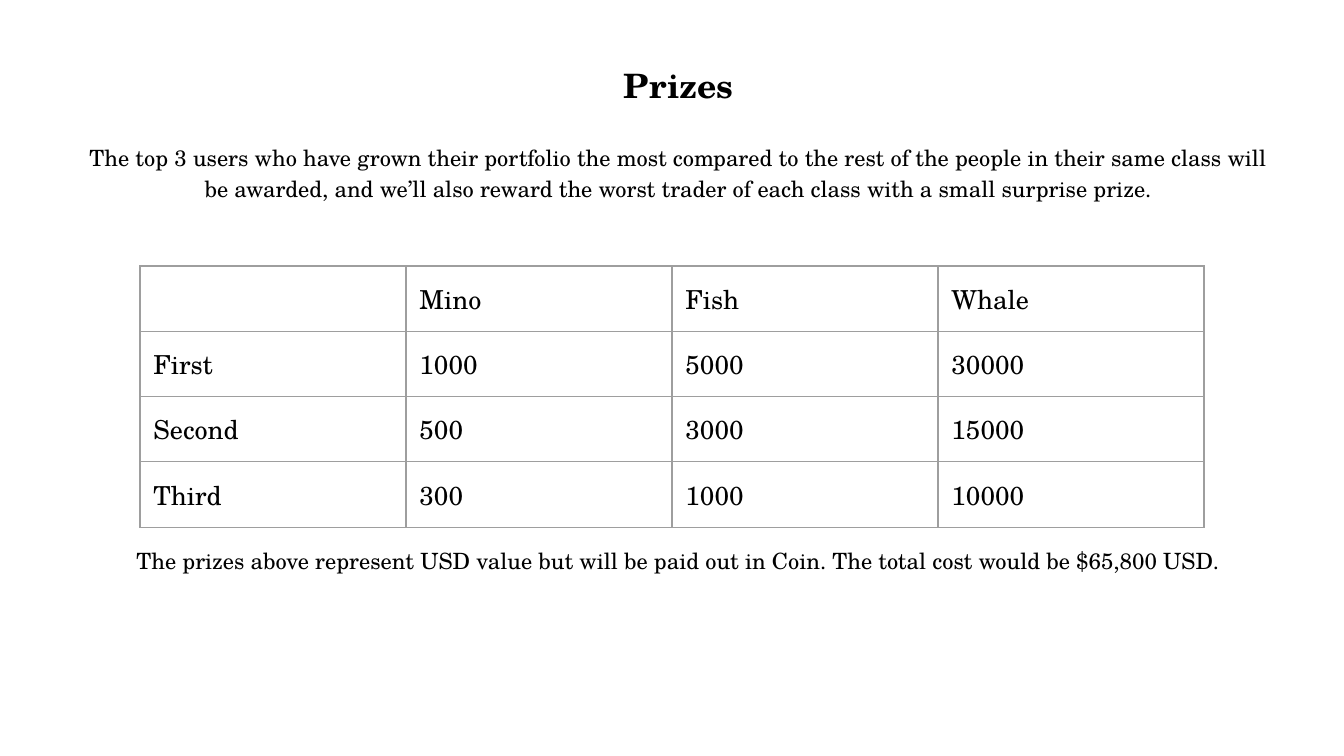
"""Build the prizes slide with its introduction, prize table and cost note."""
from lxml import etree
from pptx import Presentation
from pptx.dml.color import RGBColor
from pptx.enum.text import MSO_ANCHOR, PP_ALIGN
from pptx.oxml.ns import qn
from pptx.util import Pt

CENTER = PP_ALIGN.CENTER
MIDDLE = MSO_ANCHOR.MIDDLE
FONT = "TeX Gyre Schola"
BLACK, WHITE, GRAY = "000000", "FFFFFF", "9E9E9E"

PARAGRAPHS = [
    ("Prizes", 18, True, 14, 1),
    ("The top 3 users who have grown their portfolio the most compared to the "
     "rest of the people in their same class will be awarded, and we’ll also "
     "reward the worst trader of each class with a small surprise prize.",
     12, False, 19, 1.15),
    ("The prizes above represent USD value but will be paid out in Coin. "
     "The total cost would be $65,800 USD.", 12, False, 182.5, 1.15),
]
PRIZES = [
    ("", "Mino", "Fish", "Whale"),
    ("First", "1000", "5000", "30000"),
    ("Second", "500", "3000", "15000"),
    ("Third", "300", "1000", "10000"),
]
TABLE_LEFT, TABLE_TOP = 75, 142.5
COLUMN_WIDTH, ROW_HEIGHT = 142.5, 35
INSET = 7.2


def color(value):
    return RGBColor.from_string(value)


def style(paragraph, size, bold=False):
    font = paragraph.font
    font.name, font.size, font.bold = FONT, Pt(size), bold
    font.color.rgb = color(BLACK)


def add_borders(cell):
    properties = cell._tc.get_or_add_tcPr()
    for index, side in enumerate(("a:lnL", "a:lnR", "a:lnT", "a:lnB")):
        line = etree.Element(qn(side), w=str(Pt(0.75)))
        fill = etree.SubElement(line, qn("a:solidFill"))
        etree.SubElement(fill, qn("a:srgbClr"), val=GRAY)
        properties.insert(index, line)


def add_text(slide):
    box = slide.shapes.add_textbox(Pt(36.7), Pt(27.4), Pt(653.8), Pt(357.8))
    frame = box.text_frame
    frame.word_wrap = True
    frame.margin_left = frame.margin_right = Pt(INSET)
    frame.margin_top = frame.margin_bottom = Pt(INSET)
    for index, (text, size, bold, before, spacing) in enumerate(PARAGRAPHS):
        paragraph = frame.add_paragraph() if index else frame.paragraphs[0]
        paragraph.text = text
        paragraph.alignment = CENTER
        paragraph.space_before = Pt(before)
        paragraph.line_spacing = spacing
        style(paragraph, size, bold)


def add_prize_table(slide):
    rows, columns = len(PRIZES), len(PRIZES[0])
    table = slide.shapes.add_table(
        rows, columns, Pt(TABLE_LEFT), Pt(TABLE_TOP),
        Pt(columns * COLUMN_WIDTH), Pt(rows * ROW_HEIGHT)).table
    table.first_row = table.horz_banding = False
    for row, values in enumerate(PRIZES):
        for column, value in enumerate(values):
            cell = table.cell(row, column)
            cell.text = value
            cell.fill.solid()
            cell.fill.fore_color.rgb = color(WHITE)
            cell.margin_left = cell.margin_right = Pt(INSET)
            cell.margin_top = cell.margin_bottom = Pt(5)
            cell.vertical_anchor = MIDDLE
            style(cell.text_frame.paragraphs[0], 14)
            add_borders(cell)


def main():
    presentation = Presentation()
    presentation.slide_width, presentation.slide_height = Pt(720), Pt(405)
    slide = presentation.slides.add_slide(presentation.slide_layouts[6])
    add_text(slide)
    add_prize_table(slide)
    presentation.save("out.pptx")


if __name__ == "__main__":
    main()
